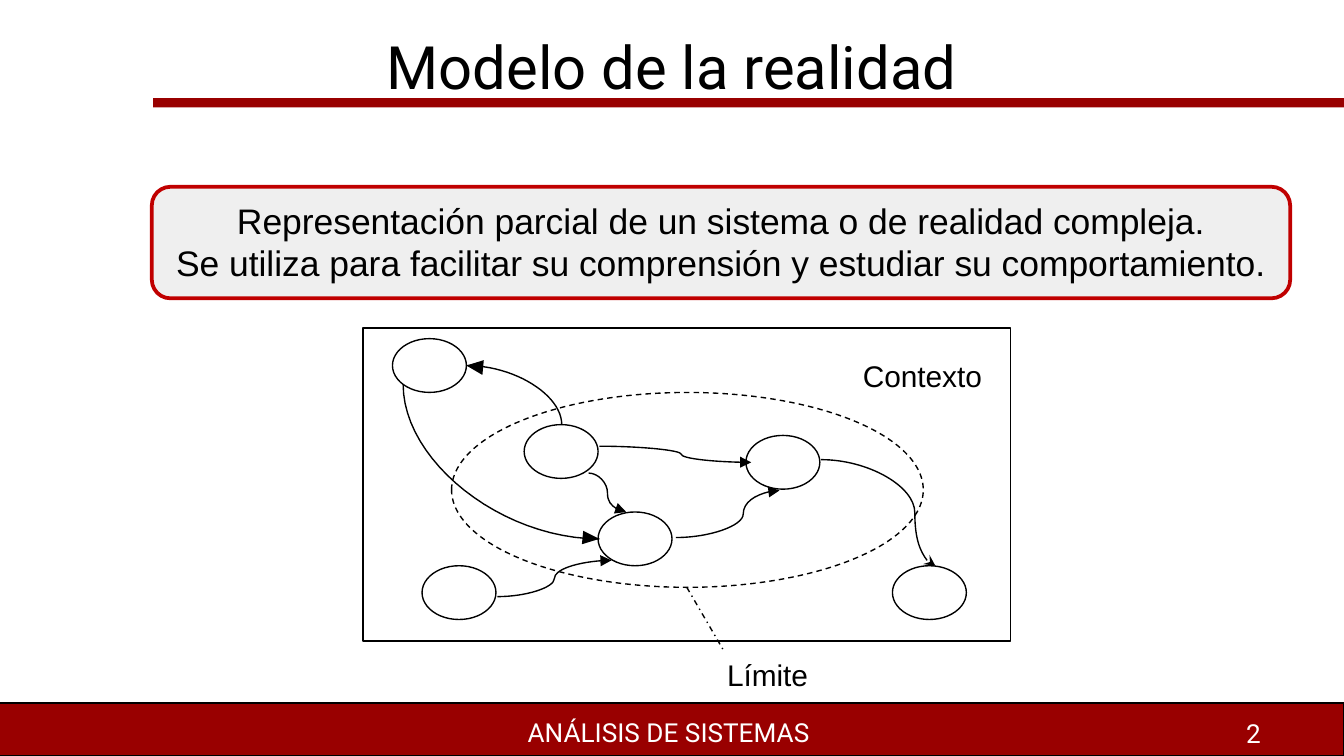
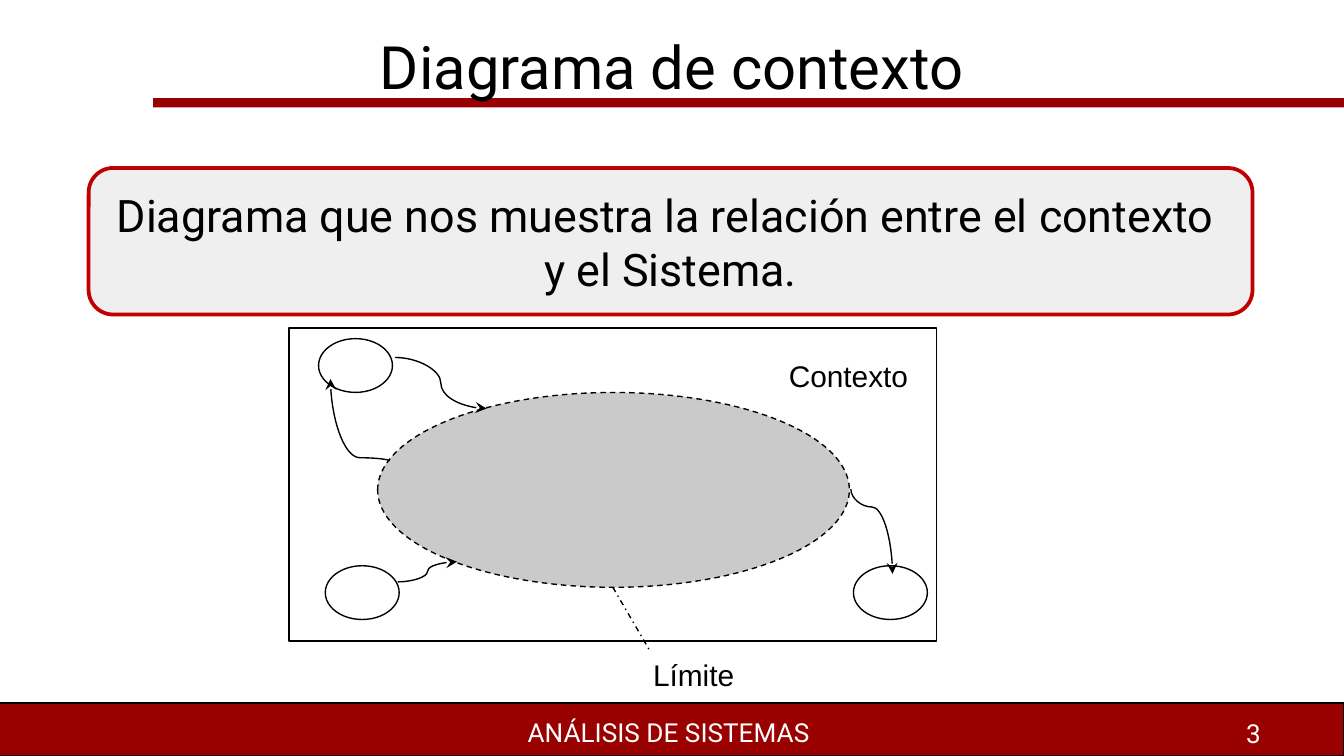
from dataclasses import dataclass

import pptx
import pptx.util
from lxml import etree
from pptx.dml.color import RGBColor
from pptx.enum.dml import MSO_LINE
from pptx.enum.shapes import MSO_CONNECTOR, MSO_SHAPE
from pptx.enum.text import MSO_ANCHOR, PP_ALIGN
from pptx.oxml.ns import qn
from pptx.util import Inches

COLORS = {
    "band": "990000",
    "border": "C00000",
    "panel": "D8D8D8",
    "system": "CACACA",
    "ink": "000000",
    "white": "FFFFFF",
}
HEADING_FONT = "Roboto"
BODY_FONT = "Arial"
SLIDE_WIDTH = Inches(10)
SLIDE_HEIGHT = SLIDE_WIDTH * 9 // 16
NODE_WIDTH, NODE_HEIGHT = 0.55, 0.4
CURVE_STEPS = 24

Point = tuple[float, float]


@dataclass
class Box:
    left: float
    top: float
    width: float
    height: float

    def lengths(self) -> list[int]:
        return [Inches(v) for v in (self.left, self.top, self.width, self.height)]


@dataclass
class TextStyle:
    size: float
    font: str = HEADING_FONT
    color: str = "ink"
    align: PP_ALIGN = PP_ALIGN.CENTER
    anchor: MSO_ANCHOR = MSO_ANCHOR.TOP
    line_spacing: float = 1.0


@dataclass
class Flow:
    """Curved arrow; bend is where it turns, as a share of its run."""
    start: Point
    end: Point
    bend: float = 0.5
    arrow: str = "triangle"
    vertical: bool = False


@dataclass
class Arc:
    """Cubic curve that ends in a solid arrowhead."""
    curve: list[Point]
    head: list[Point]


@dataclass
class Callout:
    box: Box
    lines: list[str]
    style: TextStyle


@dataclass
class Diagram:
    left: float
    system_fill: str | None
    nodes: list[Point]
    arcs: list[Arc]
    flows: list[Flow]


@dataclass
class Page:
    number: int
    title: str
    callout: Callout
    diagram: Diagram


TITLE = TextStyle(32, anchor=MSO_ANCHOR.MIDDLE)
FOOTER = TextStyle(14, color="white")
PAGE_NUMBER = TextStyle(14, color="white", align=PP_ALIGN.RIGHT)
LABEL = TextStyle(16, BODY_FONT, align=PP_ALIGN.LEFT, line_spacing=1.07)


# Text and shapes
def rgb(name: str) -> RGBColor:
    return RGBColor.from_string(COLORS[name])


def write_text(shape, lines: list[str], style: TextStyle, inset: bool = True) -> None:
    text_frame = shape.text_frame
    text_frame.word_wrap = True
    text_frame.vertical_anchor = style.anchor
    text_frame.margin_left = text_frame.margin_right = Inches(0.1 if inset else 0)
    text_frame.margin_top = text_frame.margin_bottom = Inches(0.05 if inset else 0)
    text_frame.text = "\n".join(lines)
    for paragraph in text_frame.paragraphs:
        paragraph.alignment = style.align
        paragraph.line_spacing = style.line_spacing
        for run in paragraph.runs:
            run.font.name = style.font
            run.font.size = pptx.util.Pt(style.size)
            run.font.color.rgb = rgb(style.color)


def add_text(slide, box: Box, text: str, style: TextStyle, inset: bool = True) -> None:
    write_text(slide.shapes.add_textbox(*box.lengths()), [text], style, inset)


def paint(shape, fill: str | None, line: str | None = "ink", width: float = 0.75) -> None:
    shape.shadow.inherit = False
    if fill:
        shape.fill.solid()
        shape.fill.fore_color.rgb = rgb(fill)
    else:
        shape.fill.background()
    if line:
        shape.line.color.rgb = rgb(line)
        shape.line.width = pptx.util.Pt(width)
    else:
        shape.line.fill.background()


def add_shape(slide, kind: MSO_SHAPE, box: Box, fill: str | None,
              line: str | None = "ink", width: float = 0.75):
    shape = slide.shapes.add_shape(kind, *box.lengths())
    paint(shape, fill, line, width)
    return shape


def add_outline(slide, points: list[Point], closed: bool):
    vertices = [(Inches(x), Inches(y)) for x, y in points]
    builder = slide.shapes.build_freeform(*vertices[0])
    builder.add_line_segments(vertices[1:], close=closed)
    return builder.convert_to_shape()


# Connectors and arrows
def add_line(slide, kind: MSO_CONNECTOR, start: Point, end: Point,
             dash: MSO_LINE | None = None, arrow: str | None = None):
    connector = slide.shapes.add_connector(kind, *[Inches(v) for v in (*start, *end)])
    connector.line.color.rgb = rgb("ink")
    connector.line.width = pptx.util.Pt(0.75)
    if dash:
        connector.line.dash_style = dash
    properties = connector.element.spPr
    if arrow:
        etree.SubElement(properties.find(qn("a:ln")), qn("a:tailEnd"), type=arrow)
    etree.SubElement(properties, qn("a:effectLst"))
    return connector


def add_flow(slide, flow: Flow) -> None:
    (x1, y1), (x2, y2) = start, end = flow.start, flow.end
    if flow.vertical:
        # Lay the curve on its side around its centre, then turn it
        middle_x, middle_y = (x1 + x2) / 2, (y1 + y2) / 2
        half_run, half_rise = abs(y2 - y1) / 2, abs(x2 - x1) / 2
        start = middle_x + half_run, middle_y - half_rise
        end = middle_x - half_run, middle_y + half_rise
    connector = add_line(slide, MSO_CONNECTOR.CURVE, start, end, arrow=flow.arrow)
    properties = connector.element.spPr
    if flow.vertical:
        turn = 270 if y2 > y1 else 90
        properties.find(qn("a:xfrm")).set("rot", str(turn * 60000))
    geometry = properties.find(qn("a:prstGeom"))
    guides = geometry.find(qn("a:avLst"))
    if guides is None:
        guides = etree.SubElement(geometry, qn("a:avLst"))
    etree.SubElement(guides, qn("a:gd"), name="adj1",
                     fmla=f"val {round(flow.bend * 100000)}")


def curve_point(curve: list[Point], t: float) -> Point:
    weights = ((1 - t) ** 3, 3 * t * (1 - t) ** 2, 3 * t ** 2 * (1 - t), t ** 3)
    return (sum(w * x for w, (x, _) in zip(weights, curve)),
            sum(w * y for w, (_, y) in zip(weights, curve)))


def add_arc(slide, arc: Arc) -> None:
    points = [curve_point(arc.curve, step / CURVE_STEPS) for step in range(CURVE_STEPS + 1)]
    paint(add_outline(slide, points, closed=False), None)
    paint(add_outline(slide, arc.head, closed=True), "ink", None)


# Slide parts
def add_frame(slide, page: Page) -> None:
    add_shape(slide, MSO_SHAPE.RECTANGLE, Box(-0.04, 5.23, 10.04, 0.39), "band")
    add_shape(slide, MSO_SHAPE.RECTANGLE, Box(1.14, 0.73, 8.86, 0.07), "band", None)
    add_text(slide, Box(7.15, 5.29, 2.33, 0.34), str(page.number), PAGE_NUMBER)
    add_text(slide, Box(0, 5.28, 10, 0.34), "ANÁLISIS DE SISTEMAS ", FOOTER)
    add_text(slide, Box(0, 0.23, 10, 0.52), page.title, TITLE)


def add_callout(slide, callout: Callout) -> None:
    panel = add_shape(slide, MSO_SHAPE.ROUNDED_RECTANGLE, callout.box, "panel", "border", 2)
    color = panel.element.spPr.find(qn("a:solidFill")).find(qn("a:srgbClr"))
    etree.SubElement(color, qn("a:alpha"), val="40000")
    write_text(panel, callout.lines, callout.style)


def add_diagram(slide, diagram: Diagram) -> None:
    left = diagram.left
    add_shape(slide, MSO_SHAPE.RECTANGLE, Box(left, 2.44, 4.82, 2.33), None)
    boundary = add_shape(slide, MSO_SHAPE.OVAL, Box(left + 0.66, 2.92, 3.51, 1.45),
                         diagram.system_fill)
    boundary.line.dash_style = MSO_LINE.DASH
    for x, y in diagram.nodes:
        add_shape(slide, MSO_SHAPE.OVAL, Box(x, y, NODE_WIDTH, NODE_HEIGHT), None)
    for arc in diagram.arcs:
        add_arc(slide, arc)
    add_text(slide, Box(left + 3.72, 2.64, 1.03, 0.24), "Contexto", LABEL, inset=False)
    add_text(slide, Box(left + 2.71, 4.87, 0.97, 0.24), "Límite", LABEL, inset=False)
    add_line(slide, MSO_CONNECTOR.STRAIGHT, (left + 2.41, 4.37), (left + 2.69, 4.85),
             dash=MSO_LINE.DASH_DOT)
    for flow in diagram.flows:
        add_flow(slide, flow)


# Content
PAGES = [
    Page(
        2, "Modelo de la realidad",
        Callout(Box(1.13, 1.39, 8.47, 0.83),
                ["Representación parcial de un sistema o de realidad compleja.",
                 "Se utiliza para facilitar su comprensión y estudiar su comportamiento."],
                TextStyle(19, BODY_FONT)),
        Diagram(
            2.7, None,
            nodes=[(2.92, 2.52), (3.14, 4.21), (6.64, 4.21),
                   (3.9, 3.16), (5.55, 3.24), (4.45, 3.81)],
            arcs=[Arc([(3, 2.86), (3, 3.43), (3.73, 4.01), (4.46, 4.01)],
                      [(4.34, 3.95), (4.46, 4.01), (4.33, 4.05)]),
                  Arc([(4.18, 3.16), (4.18, 2.94), (3.83, 2.72), (3.47, 2.72)],
                      [(3.6, 2.68), (3.59, 2.79), (3.47, 2.72)])],
            flows=[Flow((3.7, 4.44), (4.55, 4.17)),
                   Flow((6.11, 3.42), (6.96, 4.21), 0.82, "stealth"),
                   Flow((5.03, 4), (5.8, 3.65), 0.65),
                   Flow((4.38, 3.52), (4.66, 3.81)),
                   Flow((4.46, 3.32), (5.59, 3.44), 0.54)],
        ),
    ),
    Page(
        3, "Diagrama de contexto",
        Callout(Box(0.66, 1.25, 8.66, 1.09),
                ["Diagrama que nos muestra la relación entre el contexto  y el Sistema."],
                TextStyle(24, anchor=MSO_ANCHOR.MIDDLE)),
        Diagram(
            2.15, "system",
            nodes=[(2.37, 2.52), (2.42, 4.21), (6.35, 4.21)],
            arcs=[],
            flows=[Flow((2.96, 4.33), (3.4, 4.18), arrow="stealth"),
                   Flow((6.33, 3.64), (6.64, 4.27), 0.21, "stealth", vertical=True),
                   Flow((2.9, 3.43), (2.46, 2.82), 0.04, "stealth", vertical=True),
                   Flow((2.94, 2.66), (3.62, 3.04), arrow="stealth")],
        ),
    ),
]


def main() -> None:
    presentation = pptx.Presentation()
    presentation.slide_width = SLIDE_WIDTH
    presentation.slide_height = SLIDE_HEIGHT
    for page in PAGES:
        slide = presentation.slides.add_slide(presentation.slide_layouts[6])
        add_frame(slide, page)
        add_callout(slide, page.callout)
        add_diagram(slide, page.diagram)
    presentation.save("out.pptx")


if __name__ == "__main__":
    main()
